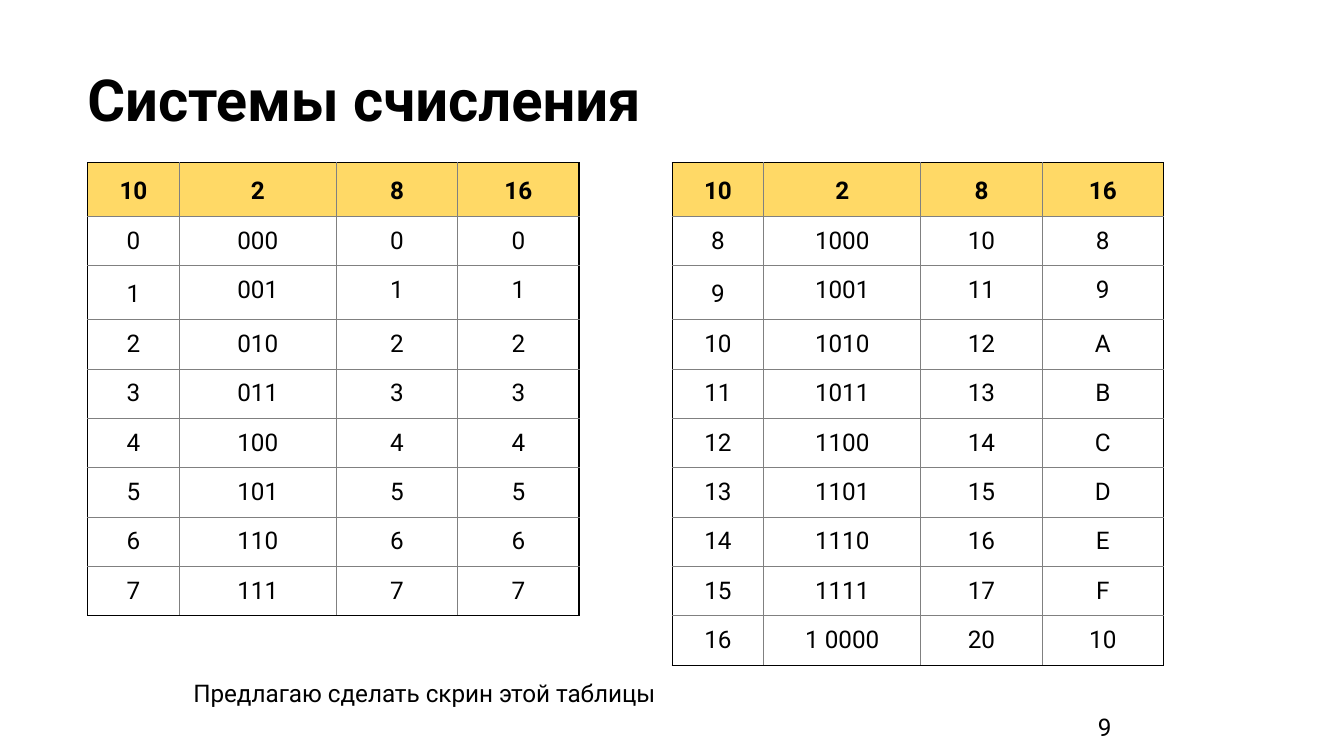
from dataclasses import dataclass

from lxml import etree
from pptx import Presentation
from pptx.dml.color import RGBColor
from pptx.enum.text import MSO_ANCHOR, MSO_AUTO_SIZE, PP_ALIGN
from pptx.oxml.ns import qn
from pptx.util import Pt

LEFT, CENTER, RIGHT = PP_ALIGN.LEFT, PP_ALIGN.CENTER, PP_ALIGN.RIGHT
TOP = MSO_ANCHOR.TOP
NO_AUTOFIT = MSO_AUTO_SIZE.NONE
TITLE_ONLY = 5

COLORS = {"text": "000000", "header": "FFD966", "body": "FFFFFF",
          "frame": "000000", "grid": "808080"}
FONT = "Roboto"
TEXT_SIZE = 13
TITLE_SIZE = 31

BASES = ["10", "2", "8", "16"]
COLUMN_WIDTHS = [49, 84.2, 65, 65]
ROW_HEIGHT, TALL_ROW_HEIGHT = 26.45, 28.85
TALL_ROW = 2
TALL_SPACING = 1.15
CELL_MARGIN = 5.62
TABLE_TOP = 87.1


@dataclass
class NumberTable:
    left: float
    first: int
    last: int


@dataclass
class Label:
    text: str
    left: float
    top: float
    width: float
    height: float
    align: PP_ALIGN
    inset: float
    spacing: float


TABLES = [NumberTable(47, 0, 7), NumberTable(360.1, 8, 16)]
LABELS = [
    Label("Предлагаю сделать скрин этой таблицы", 96.5, 352.8, 270.7, 38.9, LEFT, 7.2, 1.2),
    Label("9", 530.6, 378, 72, 25.2, RIGHT, 3.6, 1.0),
]


def numeral_row(number: int) -> list[str]:
    """Write a number in the four bases, with binary digits grouped by four."""
    binary = f"{number:03b}"
    if len(binary) > 4:
        binary = f"{binary[:-4]} {binary[-4:]}"
    return [str(number), binary, f"{number:o}", f"{number:X}"]


def format_text(frame, size: float, align: PP_ALIGN, spacing: float = 1.0,
                bold: bool = False) -> None:
    paragraph = frame.paragraphs[0]
    paragraph.alignment = align
    paragraph.line_spacing = spacing
    for run in paragraph.runs:
        run.font.name = FONT
        run.font.size = Pt(size)
        run.font.bold = bold
        run.font.color.rgb = RGBColor.from_string(COLORS["text"])


def set_borders(cell, outer_edges: dict[str, bool]) -> None:
    """Draw each edge as frame or grid line; edges come in schema order L, R, T, B."""
    properties = cell._tc.get_or_add_tcPr()
    for edge, is_outer in outer_edges.items():
        color, width = (COLORS["frame"], 0.75) if is_outer else (COLORS["grid"], 0.5)
        line = etree.SubElement(properties, qn(f"a:ln{edge}"), w=str(Pt(width)))
        fill = etree.SubElement(line, qn("a:solidFill"))
        etree.SubElement(fill, qn("a:srgbClr"), val=color)


def add_number_table(slide, spec: NumberTable) -> None:
    rows = [BASES] + [numeral_row(n) for n in range(spec.first, spec.last + 1)]
    heights = [TALL_ROW_HEIGHT if r in (0, TALL_ROW) else ROW_HEIGHT
               for r in range(len(rows))]
    table = slide.shapes.add_table(
        len(rows), len(BASES), Pt(spec.left), Pt(TABLE_TOP),
        Pt(sum(COLUMN_WIDTHS)), Pt(sum(heights))).table
    table.horz_banding = False
    for column, width in zip(table.columns, COLUMN_WIDTHS):
        column.width = Pt(width)
    for r, (numerals, height) in enumerate(zip(rows, heights)):
        table.rows[r].height = Pt(height)
        is_header = r == 0
        for c, numeral in enumerate(numerals):
            cell = table.cell(r, c)
            cell.text_frame.text = numeral
            cell.margin_left = cell.margin_right = Pt(CELL_MARGIN)
            cell.margin_top = cell.margin_bottom = Pt(CELL_MARGIN)
            cell.vertical_anchor = TOP
            is_tall = is_header or (r == TALL_ROW and c == 0)
            format_text(cell.text_frame, TEXT_SIZE, CENTER,
                        TALL_SPACING if is_tall else 1.0, is_header)
            set_borders(cell, {"L": c == 0, "R": c == len(BASES) - 1,
                               "T": is_header, "B": r == len(rows) - 1})
            cell.fill.solid()
            cell.fill.fore_color.rgb = RGBColor.from_string(
                COLORS["header" if is_header else "body"])


def set_frame(frame, side_inset: float, top_inset: float) -> None:
    frame.word_wrap = True
    frame.auto_size = NO_AUTOFIT
    frame.vertical_anchor = TOP
    frame.margin_left = frame.margin_right = Pt(side_inset)
    frame.margin_top = frame.margin_bottom = Pt(top_inset)


def add_label(slide, label: Label) -> None:
    box = slide.shapes.add_textbox(Pt(label.left), Pt(label.top),
                                   Pt(label.width), Pt(label.height))
    set_frame(box.text_frame, 7.2, label.inset)
    box.text_frame.text = label.text
    format_text(box.text_frame, TEXT_SIZE, label.align, label.spacing)


def set_title(slide, text: str) -> None:
    title = slide.shapes.title
    title.left, title.top = Pt(39.6), Pt(27)
    title.width, title.height = Pt(671), Pt(86.4)
    set_frame(title.text_frame, 7.2, 7.2)
    title.text_frame.text = text
    format_text(title.text_frame, TITLE_SIZE, LEFT, bold=True)


def main() -> None:
    presentation = Presentation()
    presentation.slide_width, presentation.slide_height = Pt(720), Pt(405)
    slide = presentation.slides.add_slide(presentation.slide_layouts[TITLE_ONLY])
    set_title(slide, "Системы счисления")
    for spec in TABLES:
        add_number_table(slide, spec)
    for label in LABELS:
        add_label(slide, label)
    presentation.save("out.pptx")


if __name__ == "__main__":
    main()
